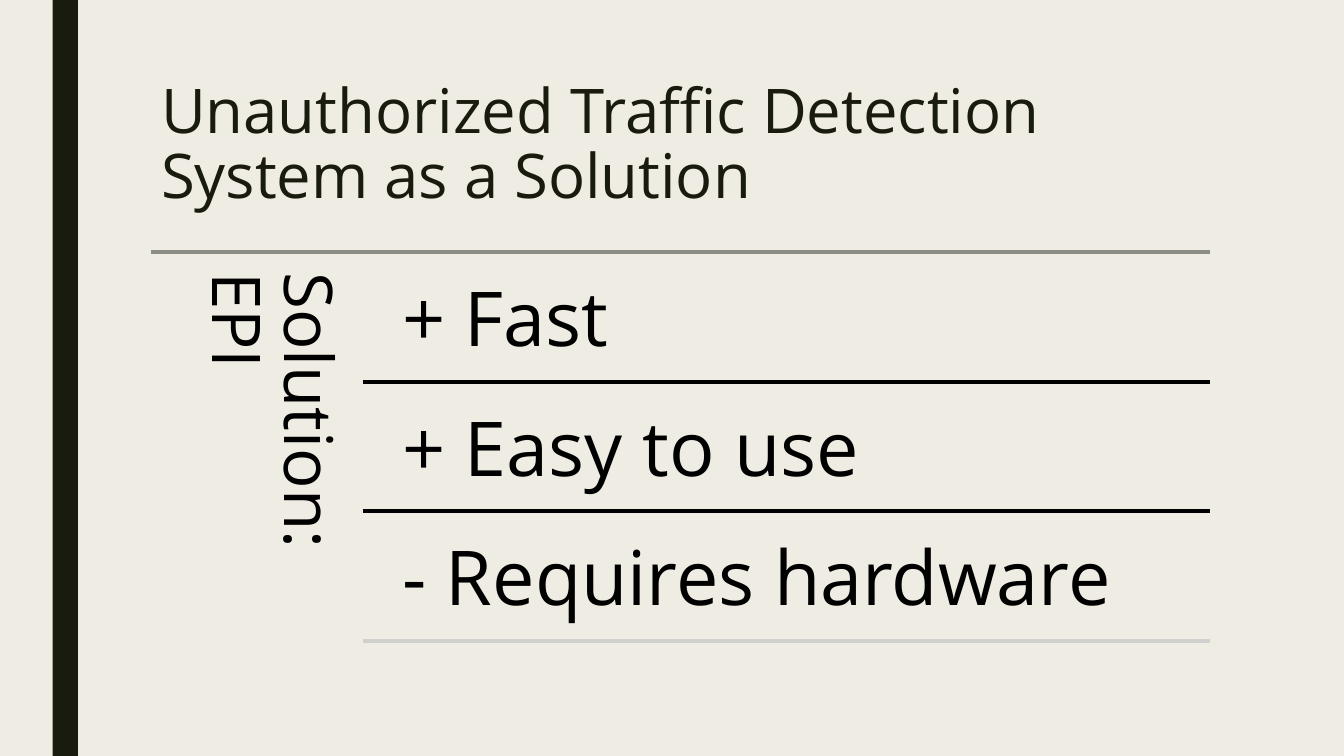
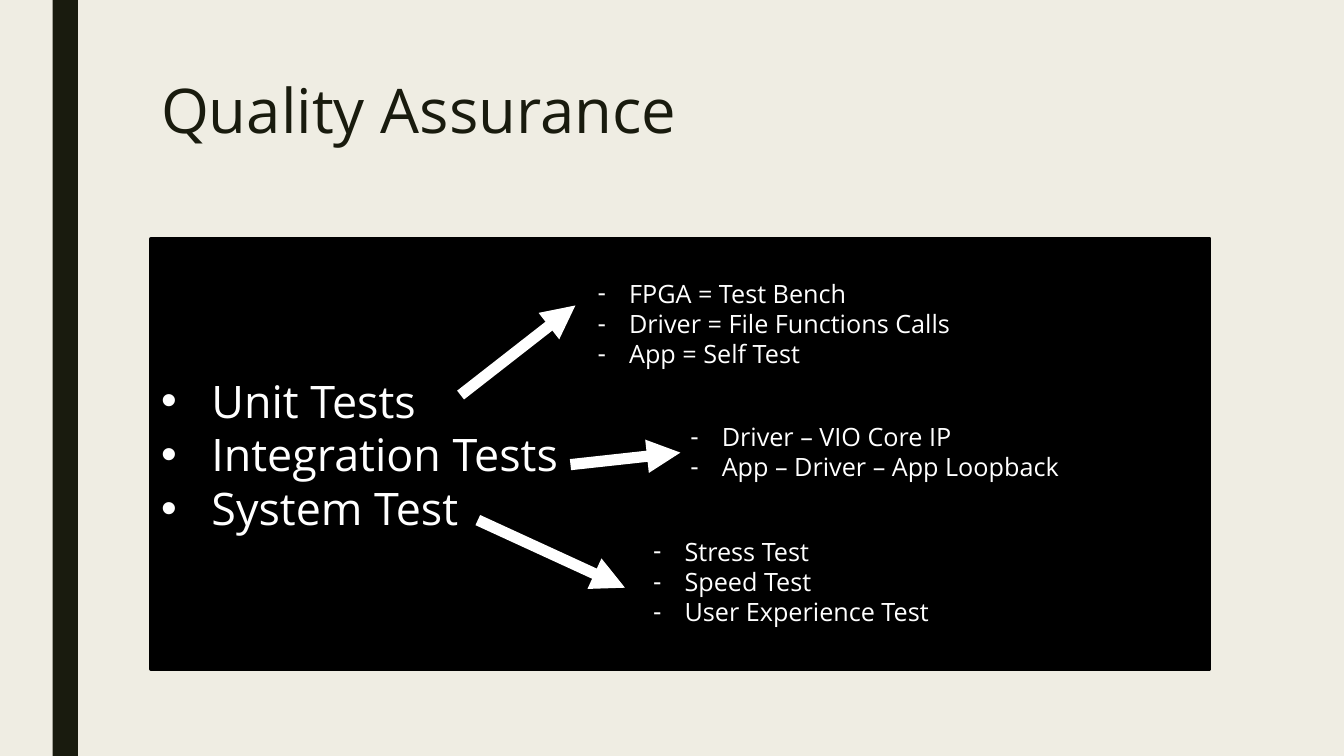
"""Build two slides on traffic detection and its testing."""
from lxml.etree import SubElement
from pptx import Presentation
from pptx.dml.color import RGBColor
from pptx.enum.shapes import MSO_CONNECTOR, MSO_SHAPE
from pptx.enum.text import MSO_ANCHOR, PP_ALIGN
from pptx.oxml.ns import qn
from pptx.util import Pt

HUES = {
    "paper": "EFEDE3", "ink": "191B0E", "black": "000000",
    "white": "FFFFFF", "gray": "8C8D86", "pale": "D0D0CE",
}
FONT = "Open Sans"
LEFT, WIDE = 108, 756
RIGHT = LEFT + WIDE


def tint(name):
    return RGBColor.from_string(HUES[name])


def write(frame, text, size=18, hue="black", space=None, pad=None,
          turn=None, mark=None, hang=0, anchor=MSO_ANCHOR.TOP):
    frame.word_wrap = True
    frame.vertical_anchor = anchor
    if pad is not None:
        frame.margin_left = frame.margin_right = Pt(pad)
        frame.margin_top = frame.margin_bottom = Pt(pad)
    if turn:
        frame._txBody.bodyPr.set("vert", turn)
    for i, line in enumerate(text.split("\n")):
        para = frame.add_paragraph() if i else frame.paragraphs[0]
        para.alignment = PP_ALIGN.LEFT
        if space:
            para.line_spacing = space
        if mark:
            props = para._p.get_or_add_pPr()
            props.set("marL", str(Pt(hang)))
            props.set("indent", str(-Pt(hang)))
            SubElement(props, qn("a:buFont")).set("typeface", "Arial")
            SubElement(props, qn("a:buChar")).set("char", mark)
        run = para.add_run()
        run.text = line
        run.font.name = FONT
        run.font.size = Pt(size)
        run.font.color.rgb = tint(hue)


class Deck:
    def __init__(self):
        self.show = Presentation()
        self.show.slide_width, self.show.slide_height = Pt(960), Pt(540)
        self.slide = None

    def page(self, title):
        self.slide = self.show.slides.add_slide(self.show.slide_layouts[6])
        fill = self.slide.background.fill
        fill.solid()
        fill.fore_color.rgb = tint("paper")
        self.rect(37.6, 0, 18, 540, "ink")
        self.text(LEFT, 54, WIDE, 116.6, title, size=44, hue="ink", space=0.89)

    def rect(self, x, y, w, h, hue, edge=0):
        box = self.slide.shapes.add_shape(
            MSO_SHAPE.RECTANGLE, Pt(x), Pt(y), Pt(w), Pt(h))
        box.shadow.inherit = False
        box.fill.solid()
        box.fill.fore_color.rgb = tint(hue)
        if edge:
            box.line.color.rgb = tint(hue)
            box.line.width = Pt(edge)
        else:
            box.line.fill.background()
        return box

    def text(self, x, y, w, h, text, **style):
        box = self.slide.shapes.add_textbox(Pt(x), Pt(y), Pt(w), Pt(h))
        write(box.text_frame, text, **style)

    def line(self, x1, y1, x2, y2, hue, width=2.75, arrow=False):
        line = self.slide.shapes.add_connector(
            MSO_CONNECTOR.STRAIGHT, Pt(x1), Pt(y1), Pt(x2), Pt(y2))
        line.line.color.rgb = tint(hue)
        line.line.width = Pt(width)
        if arrow:
            ln = line.line._get_or_add_ln()
            SubElement(ln, qn("a:tailEnd")).set("type", "triangle")
        SubElement(line._element.spPr, qn("a:effectLst"))


deck = Deck()

deck.page("Unauthorized Traffic Detection System as a Solution")
deck.line(LEFT, 180, RIGHT, 180, "gray")
deck.text(LEFT, 180, 151.2, 282.2, "Solution: EPI", size=48, space=0.9,
          pad=14.4, turn="vert")
rows = [("+ Fast", "black"), ("+ Easy to use", "black"),
        ("- Requires hardware", "pale")]
for i, (point, hue) in enumerate(rows):
    top = 184.5 + 92.5 * i
    deck.text(270.7, top, RIGHT - 270.7, 88, point, size=54, space=0.9,
              pad=16.56)
    deck.line(259.2, top + 88.3, RIGHT, top + 88.3, hue)

deck.page("Quality Assurance")
panel = deck.rect(LEFT, 170.6, WIDE, 307.4, "black", edge=2.75)
write(panel.text_frame, "Unit Tests\nIntegration Tests\nSystem Test", size=32,
      hue="white", mark="•", hang=36, anchor=MSO_ANCHOR.MIDDLE)
tests = [
    ((329, 282.2, 411, 218.2), (419.8, 195.1, 72.7),
     "FPGA = Test Bench\nDriver = File Functions Calls\nApp = Self Test"),
    ((407.5, 331.9, 486, 323.3), (486, 297.4, 51.1),
     "Driver – VIO Core IP\nApp – Driver – App Loopback"),
    ((341.3, 371.5, 446.4, 419.8), (459.4, 379.4, 72.7),
     "Stress Test\nSpeed Test\nUser Experience Test"),
]
for ends, (x, y, high), items in tests:
    deck.line(*ends, "white", width=8, arrow=True)
    deck.text(x, y, 283.7, high, items, hue="white", mark="-", hang=22.5)

deck.show.save("out.pptx")
